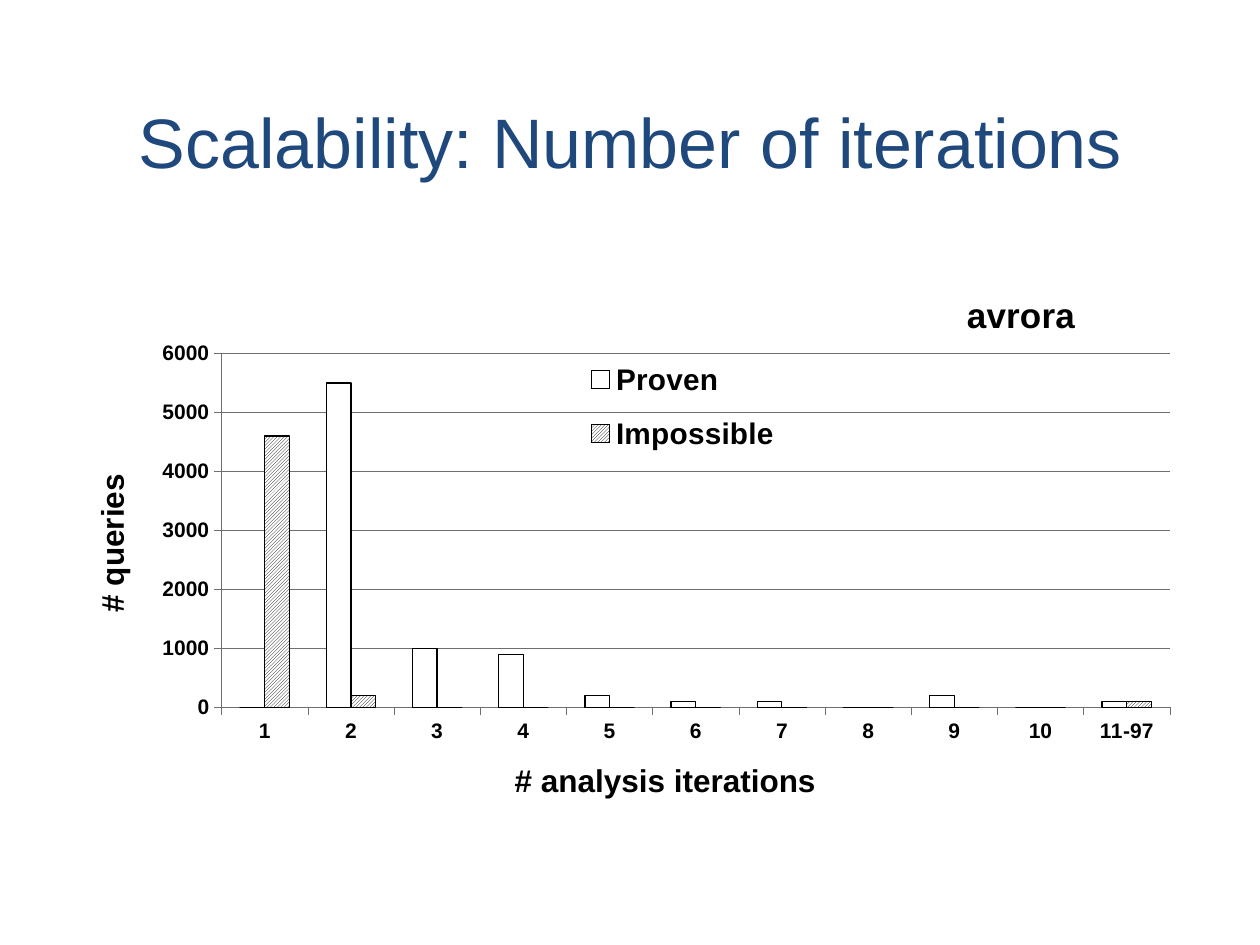
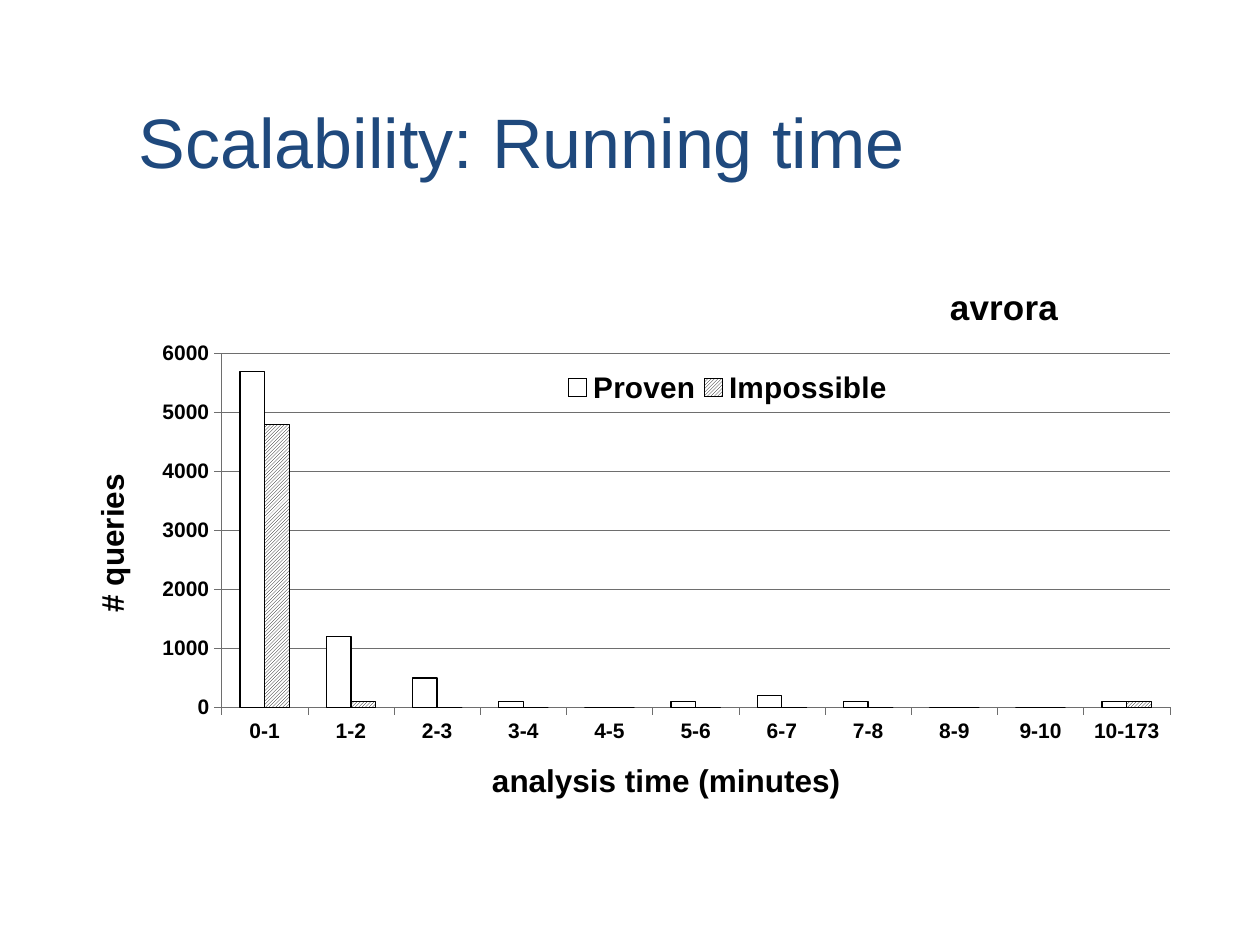
from lxml.etree import SubElement
from pptx import Presentation
from pptx.chart.data import CategoryChartData
from pptx.dml.color import RGBColor
from pptx.enum.chart import XL_CHART_TYPE, XL_LEGEND_POSITION, XL_TICK_MARK
from pptx.enum.dml import MSO_PATTERN
from pptx.enum.text import MSO_ANCHOR, PP_ALIGN
from pptx.oxml.ns import qn
from pptx.util import Pt

FONT = "Arial"
NAVY, BLACK, WHITE, GRAY = "1F497D", "000000", "FFFFFF", "6E6E6E"


def rgb(hex_color):
    return RGBColor.from_string(hex_color)


def set_layout(element, index, x, y, w=None, h=None):
    """Place a chart part at percentages of the chart's width and height."""
    old = element.find(qn("c:layout"))
    if old is not None:
        element.remove(old)
    layout = SubElement(element, qn("c:layout"))
    element.insert(index, layout)
    manual = SubElement(layout, qn("c:manualLayout"))
    if element.tag == qn("c:plotArea"):
        SubElement(manual, qn("c:layoutTarget")).set("val", "inner")
    for name in ("xMode", "yMode"):
        SubElement(manual, qn(f"c:{name}")).set("val", "edge")
    for name, percent in zip("xywh", (x, y, w, h)):
        if percent is not None:
            SubElement(manual, qn(f"c:{name}")).set("val", str(percent / 100))


slides = [
    {
        "title": "Scalability: Number of iterations",
        "x_title": "# analysis iterations",
        "categories": [str(n) for n in range(1, 11)] + ["11-97"],
        "proven": [0, 5500, 1000, 900, 200, 100, 100, 0, 200, 0, 100],
        "impossible": [4600, 200, 0, 0, 0, 0, 0, 0, 0, 0, 100],
        "name_at": (79.5, 6),
        "x_title_at": (39.5, 87),
        "legend_at": (45.4, 15.8, 19, 22),
    },
    {
        "title": "Scalability: Running time",
        "x_title": "analysis time (minutes)",
        "categories": [f"{n}-{n + 1}" for n in range(10)] + ["10-173"],
        "proven": [5700, 1200, 500, 100, 0, 100, 200, 100, 0, 0, 100],
        "impossible": [4800, 100, 0, 0, 0, 0, 0, 0, 0, 0, 100],
        "name_at": (78, 4.6),
        "x_title_at": (37.5, 87),
        "legend_at": (44, 19.5, 29.8, 8),
    },
]

prs = Presentation()
prs.slide_width, prs.slide_height = Pt(720), Pt(540)

for content in slides:
    s = prs.slides.add_slide(prs.slide_layouts[5])

    title = s.shapes.title
    title.left, title.top, title.width, title.height = Pt(72), Pt(21.6), Pt(612), Pt(90)
    tf = title.text_frame
    tf.text = content["title"]
    tf.vertical_anchor = MSO_ANCHOR.BOTTOM
    tf.margin_bottom = Pt(7.2)
    p = tf.paragraphs[0]
    p.alignment = PP_ALIGN.LEFT
    p.font.size, p.font.name = Pt(40), FONT
    p.font.color.rgb = rgb(NAVY)

    data = CategoryChartData()
    data.categories = content["categories"]
    data.add_series("Proven", content["proven"])
    data.add_series("Impossible", content["impossible"])
    chart = s.shapes.add_chart(XL_CHART_TYPE.COLUMN_CLUSTERED, Pt(36), Pt(144),
                               Pt(645.12), Pt(329.76), data).chart
    chart.font.size, chart.font.name = Pt(12), FONT
    chart.font.color.rgb = rgb(BLACK)
    set_layout(chart._chartSpace.chart.plotArea, 0, 14.05, 17.6, 84, 61.35)

    # Series
    plot = chart.plots[0]
    plot.gap_width, plot.overlap = 150, 0
    plot.vary_by_categories = False
    proven, impossible = plot.series
    proven.format.fill.solid()
    proven.format.fill.fore_color.rgb = rgb(WHITE)
    hatch = impossible.format.fill
    hatch.patterned()
    hatch.pattern = MSO_PATTERN.LIGHT_UPWARD_DIAGONAL
    hatch.fore_color.rgb, hatch.back_color.rgb = rgb(BLACK), rgb(WHITE)
    for series in (proven, impossible):
        series.format.line.color.rgb = rgb(BLACK)
        series.format.line.width = Pt(0.75)

    # Axes
    x_axis, y_axis = chart.category_axis, chart.value_axis
    y_axis.minimum_scale, y_axis.maximum_scale, y_axis.major_unit = 0, 6000, 1000
    y_axis.has_major_gridlines = True
    for axis in (x_axis, y_axis):
        axis.major_tick_mark = XL_TICK_MARK.OUTSIDE
        axis.tick_labels.font.size = Pt(12)
        axis.tick_labels.font.bold = True
    for part in (x_axis, y_axis, y_axis.major_gridlines):
        part.format.line.color.rgb = rgb(GRAY)
        part.format.line.width = Pt(0.25)

    # Chart and axis titles
    chart.has_title = True
    for holder, text, size, place in (
        (chart.chart_title, "avrora", 20, content["name_at"]),
        (x_axis.axis_title, content["x_title"], 18, content["x_title_at"]),
        (y_axis.axis_title, "# queries", 18, (2, 37.5)),
    ):
        holder.text_frame.text = text
        font = holder.text_frame.paragraphs[0].runs[0].font
        font.size, font.name, font.bold = Pt(size), FONT, True
        font.color.rgb = rgb(BLACK)
        set_layout(holder._element, 1, *place)
    chart.chart_title._element.find(qn("c:overlay")).set("val", "1")

    # Legend
    chart.has_legend = True
    legend = chart.legend
    legend.position = XL_LEGEND_POSITION.RIGHT
    legend.include_in_layout = True
    legend.font.size, legend.font.bold = Pt(17), True
    set_layout(legend._element, 1, *content["legend_at"])

prs.save("out.pptx")
